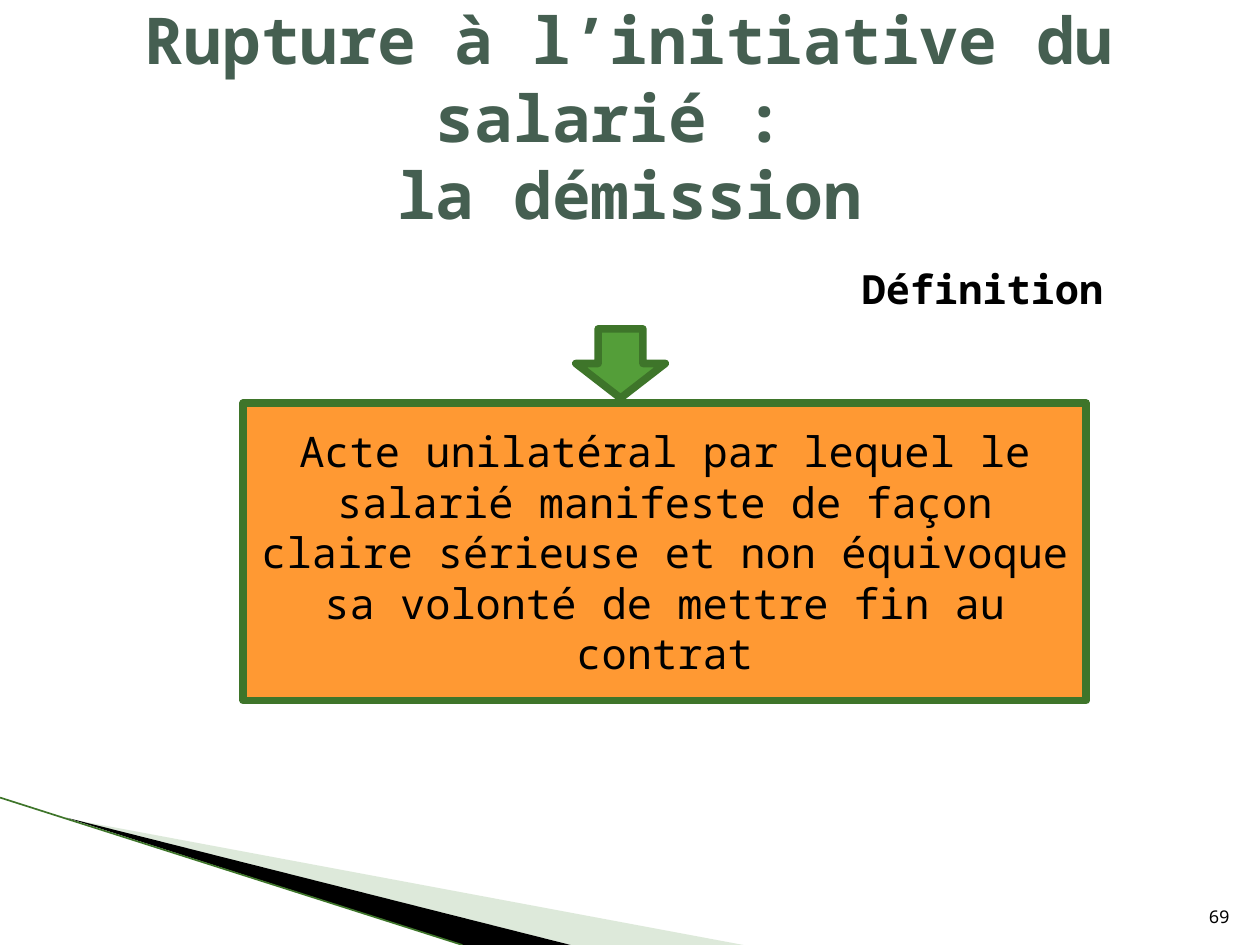
from lxml import etree
from pptx import Presentation
from pptx.dml.color import RGBColor
from pptx.enum.shapes import MSO_CONNECTOR, MSO_SHAPE
from pptx.enum.text import MSO_ANCHOR, PP_ALIGN
from pptx.oxml.ns import qn
from pptx.util import Inches, Pt

RECTANGLE, DOWN_ARROW = MSO_SHAPE.RECTANGLE, MSO_SHAPE.DOWN_ARROW
STRAIGHT = MSO_CONNECTOR.STRAIGHT
TOP, MIDDLE, BOTTOM = MSO_ANCHOR.TOP, MSO_ANCHOR.MIDDLE, MSO_ANCHOR.BOTTOM
LEFT, CENTER, RIGHT = PP_ALIGN.LEFT, PP_ALIGN.CENTER, PP_ALIGN.RIGHT

BLACK = RGBColor(0x00, 0x00, 0x00)
SLATE = RGBColor(0x45, 0x5F, 0x51)
GREEN = RGBColor(0x54, 0x9E, 0x39)
DARK_GREEN = RGBColor(0x3E, 0x75, 0x2A)
PALE_GREEN = RGBColor(0xAA, 0xCA, 0xA3)
ORANGE = RGBColor(0xFF, 0x99, 0x33)

FONT = "Noto Sans Mono"
WIDTH, HEIGHT = 10, 7.5
MARGIN = 0.05 * WIDTH
BORDER = 4.33

TITLE = "Rupture à l’initiative du salarié : \vla démission"
HEADING = "Définition"
DEFINITION = (
    "Acte unilatéral par lequel le salarié manifeste de façon claire "
    "sérieuse et non équivoque sa volonté de mettre fin au contrat"
)
PAGE_NUMBER = "69"

WEDGES = [
    ([(0.55, 6.5), (5.9, HEIGHT), (4.53, HEIGHT)], PALE_GREEN, 40),
    ([(0.53, 6.49), (4.53, HEIGHT), (3.67, HEIGHT)], BLACK, 100),
]
EDGE = [(0, 6.33), (3.67, HEIGHT)]


def write(shape, text, size, color=BLACK, bold=False, align=CENTER,
          anchor=MIDDLE, inset=(0.1, 0.05)):
    frame = shape.text_frame
    frame.word_wrap = True
    frame.vertical_anchor = anchor
    frame.margin_left = frame.margin_right = Inches(inset[0])
    frame.margin_top = frame.margin_bottom = Inches(inset[1])
    para = frame.paragraphs[0]
    para.text = text
    para.alignment = align
    for span in para.runs:
        span.font.name = FONT
        span.font.size = Pt(size)
        span.font.bold = bold
        span.font.color.rgb = color


def add_text(page, place, text, size, **style):
    box = page.shapes.add_textbox(*map(Inches, place))
    write(box, text, size, **style)


def add_bordered(page, kind, place, fill):
    shape = page.shapes.add_shape(kind, *map(Inches, place))
    shape.shadow.inherit = False
    shape.fill.solid()
    shape.fill.fore_color.rgb = fill
    shape.line.color.rgb = DARK_GREEN
    shape.line.width = Pt(BORDER)
    return shape


def add_wedge(page, points, color, opacity):
    start, *corners = [(Inches(x), Inches(y)) for x, y in points]
    builder = page.shapes.build_freeform(*start)
    builder.add_line_segments(corners, close=True)
    wedge = builder.convert_to_shape()
    wedge.shadow.inherit = False
    wedge.fill.solid()
    wedge.fill.fore_color.rgb = color
    wedge.line.fill.background()
    if opacity < 100:
        tint = wedge._element.spPr.find(qn("a:solidFill"))[0]
        etree.SubElement(tint, qn("a:alpha"), val=str(opacity * 1000))


def add_edge(page, start, end):
    edge = page.shapes.add_connector(STRAIGHT, *map(Inches, start + end))
    edge.line.color.rgb = DARK_GREEN
    edge.line.width = Pt(0.95)
    etree.SubElement(edge._element.spPr, qn("a:effectLst"))


def main():
    deck = Presentation()
    deck.slide_width, deck.slide_height = Inches(WIDTH), Inches(HEIGHT)
    page = deck.slides.add_slide(deck.slide_layouts[6])

    for points, color, opacity in WEDGES:
        add_wedge(page, points, color, opacity)
    add_edge(page, *EDGE)

    add_text(page, (MARGIN, 0.3, WIDTH - 2 * MARGIN, 1.25), TITLE, 36.9,
             color=SLATE, bold=True)
    add_text(page, (6.84, 2.1, 2.5, 0.4), HEADING, 23, bold=True,
             align=LEFT, anchor=TOP, inset=(0, 0))
    panel = add_bordered(page, RECTANGLE, (1.93, 3.2, 6.69, 2.36), ORANGE)
    write(panel, DEFINITION, 24)
    add_bordered(page, DOWN_ARROW, (4.57, 2.61, 0.71, 0.55), GREEN)
    add_text(page, (9.36, 7.01, 0.4, 0.4), PAGE_NUMBER, 10,
             align=RIGHT, anchor=BOTTOM, inset=(0, 0.05))

    deck.save("out.pptx")


if __name__ == "__main__":
    main()
